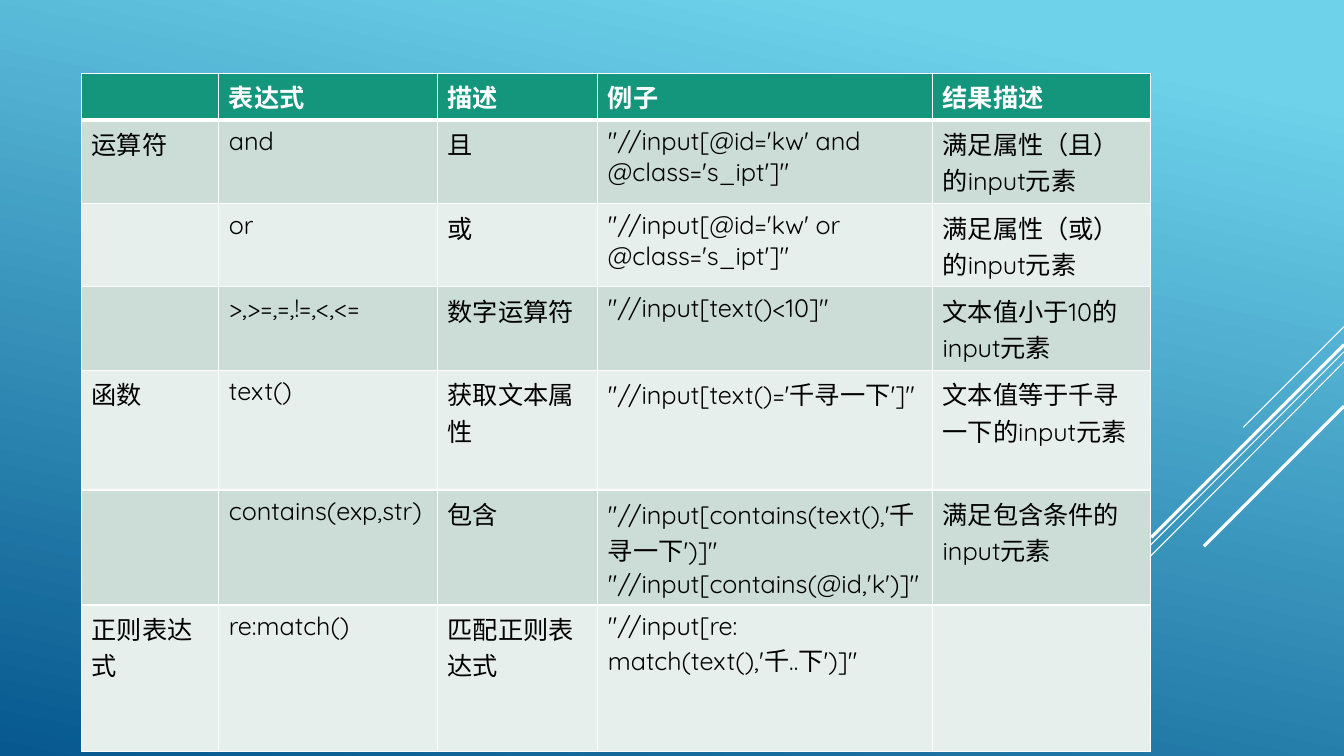
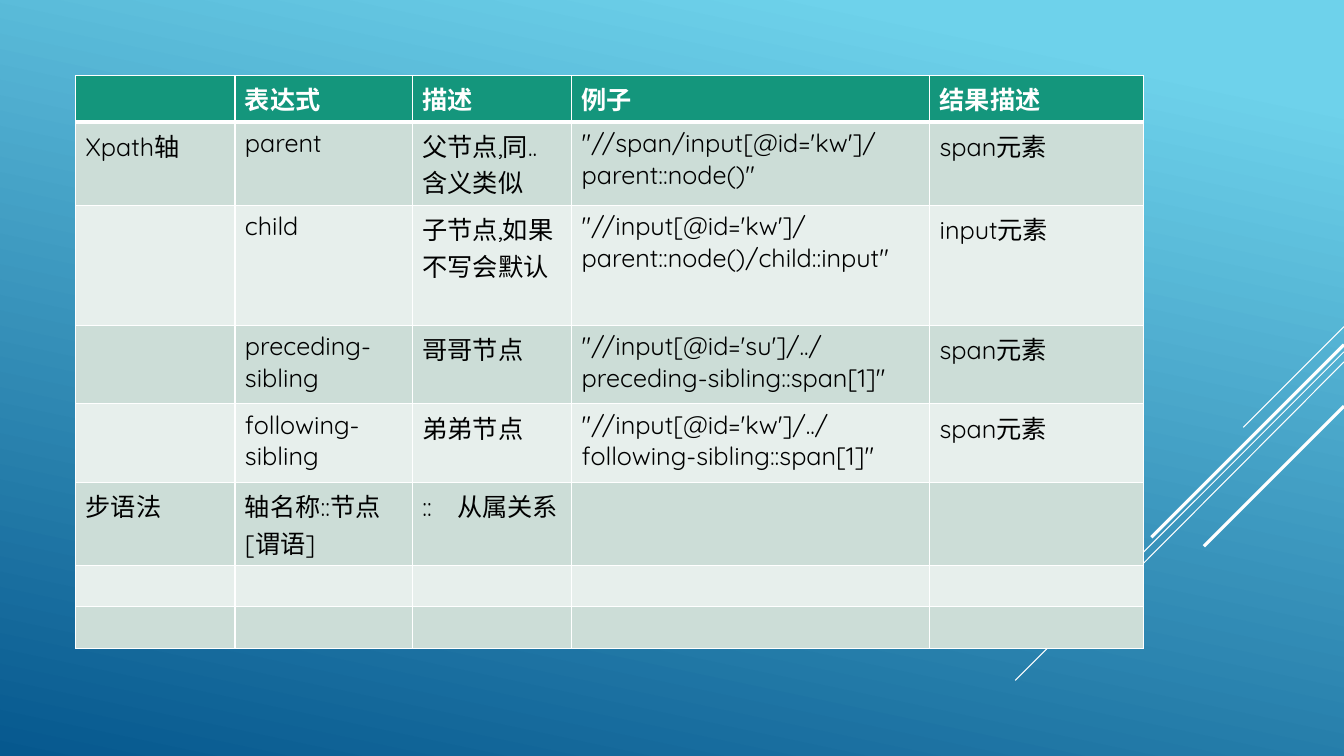
from lxml.etree import SubElement
from pptx import Presentation
from pptx.dml.color import RGBColor
from pptx.enum.shapes import MSO_CONNECTOR
from pptx.oxml import parse_xml
from pptx.oxml.ns import nsdecls, qn
from pptx.util import Inches, Pt

FONT = "Quicksand"
WHITE, BLACK = "FFFFFF", "000000"
SKY, DEEP_BLUE = "6ED2EB", "06588E"
HEADER_GREEN, BANDS = "14967C", ("CCDDD7", "E7EFEC")
SLIDE_WIDTH, SLIDE_HEIGHT = 13.33, 7.5
HEADINGS = ("", "表达式", "描述", "例子", "结果描述")

RAYS = [
    (3.24, 12.33, 4.24, 0.75),
    (3.49, 10.07, 6.75, 0.75),
    (3.59, 11.26, 5.67, 0.75),
    (3.42, 11.42, 5.33, 2.25),
    (4.03, 11.94, 5.42, 2.25),
]

OPERATORS = [
    ("运算符", "and", "且", "\"//input[@id='kw' and @class='s_ipt']\"", "满足属性（且）的input元素"),
    ("", "or", "或", "\"//input[@id='kw' or @class='s_ipt']\"", "满足属性（或）的input元素"),
    ("", ">,>=,=,!=,<,<=", "数字运算符", '"//input[text()<10]"', "文本值小于10的input元素"),
    ("函数", "text()", "获取文本属性", "\"//input[text()='千寻一下']\"", "文本值等于千寻一下的input元素"),
    ("", "contains(exp,str)", "包含",
     "\"//input[contains(text(),'千寻一下')]\"\n\"//input[contains(@id,'k')]\"",
     "满足包含条件的input元素"),
    ("正则表达式", "re:match()", "匹配正则表达式", "\"//input[re:match(text(),'千..下')]\"", ""),
]

AXES = [
    ("Xpath轴", "parent", "父节点,同..含义类似", "\"//span/input[@id='kw']/parent::node()\"", "span元素"),
    ("", "child", "子节点,如果不写会默认", "\"//input[@id='kw']/parent::node()/child::input\"", "input元素"),
    ("", "preceding-sibling", "哥哥节点", "\"//input[@id='su']/../preceding-sibling::span[1]\"", "span元素"),
    ("", "following-sibling", "弟弟节点", "\"//input[@id='kw']/../following-sibling::span[1]\"", "span元素"),
    ("步语法", "轴名称::节点[谓语]", "::\u3000从属关系", "", ""),
    ("",) * 5,
    ("",) * 5,
]


def rgb(value):
    """Turn a hex string into a colour."""
    return RGBColor.from_string(value)


def write(frame, text, size=18, color=BLACK, bold=False):
    """Fill a text frame, one paragraph per line of text."""
    frame.text = text
    for paragraph in frame.paragraphs:
        for run in paragraph.runs:
            run.font.name = FONT
            run.font.size = Pt(size)
            run.font.bold = bold
            run.font.color.rgb = rgb(color)


def rule_cell(cell, top=1, bottom=1):
    """Draw the white rules around a cell."""
    properties = cell._tc.get_or_add_tcPr()
    sides = (("lnL", 1), ("lnR", 1), ("lnT", top), ("lnB", bottom))
    for position, (side, width) in enumerate(sides):
        properties.insert(position, parse_xml(
            f'<a:{side} {nsdecls("a")} w="{Pt(width)}"><a:solidFill>'
            f'<a:srgbClr val="{WHITE}"/></a:solidFill></a:{side}>'))


def paint_background(master):
    """Give the master its blue gradient."""
    fill = master.background.fill
    fill.gradient()
    fill.gradient_angle = 360 - 102
    for stop, color, position in zip(fill.gradient_stops, (SKY, DEEP_BLUE), (0.1, 1)):
        stop.color.rgb = rgb(color)
        stop.position = position


def add_rays(slide, layout):
    """Draw the diagonal rays and hand them to the shared layout."""
    for placeholder in list(layout.placeholders):
        layout.shapes.element.remove(placeholder.element)
    rays = []
    for start_y, end_x, end_y, width in RAYS:
        ray = slide.shapes.add_connector(
            MSO_CONNECTOR.STRAIGHT, Inches(SLIDE_WIDTH), Inches(start_y),
            Inches(end_x), Inches(end_y))
        ray.line.color.rgb = rgb(WHITE)
        ray.line.width = Pt(width)
        SubElement(ray.element.spPr, qn("a:effectLst"))
        rays.append(ray)
    for ray in rays:
        layout.shapes.element.append(ray.element)


def add_reference(slide, left, top, widths, heights, entries):
    """Place a reference table of expressions, headings first."""
    rows = [HEADINGS, *entries]
    table = slide.shapes.add_table(
        len(rows), len(widths), Inches(left), Inches(top),
        Inches(sum(widths)), Inches(sum(heights))).table
    for column, width in zip(table.columns, widths):
        column.width = Inches(width)
    for index, (row, height, texts) in enumerate(zip(table.rows, heights, rows)):
        row.height = Inches(height)
        heading = index == 0
        for cell, text in zip(row.cells, texts):
            cell.fill.solid()
            cell.fill.fore_color.rgb = rgb(HEADER_GREEN if heading else BANDS[(index - 1) % 2])
            rule_cell(cell, top=3 if index == 1 else 1, bottom=3 if heading else 1)
            write(cell.text_frame, text, color=WHITE if heading else BLACK, bold=heading)


deck = Presentation()
deck.slide_width, deck.slide_height = Inches(SLIDE_WIDTH), Inches(SLIDE_HEIGHT)
blank = deck.slide_layouts[6]
paint_background(deck.slide_master)

operators = deck.slides.add_slide(blank)
add_rays(operators, blank)
add_reference(operators, 0.81, 0.73, (1.36, 2.17, 1.59, 3.32, 2.16),
              (0.46, 0.83, 0.82, 0.83, 1.18, 1.14, 1.45), OPERATORS)

axes = deck.slides.add_slide(blank)
add_reference(axes, 0.75, 0.75, (1.58, 1.76, 1.58, 3.55, 2.12),
              (0.46, 0.82, 1.19, 0.78, 0.78, 0.82, 0.41, 0.41), AXES)

deck.save("out.pptx")
